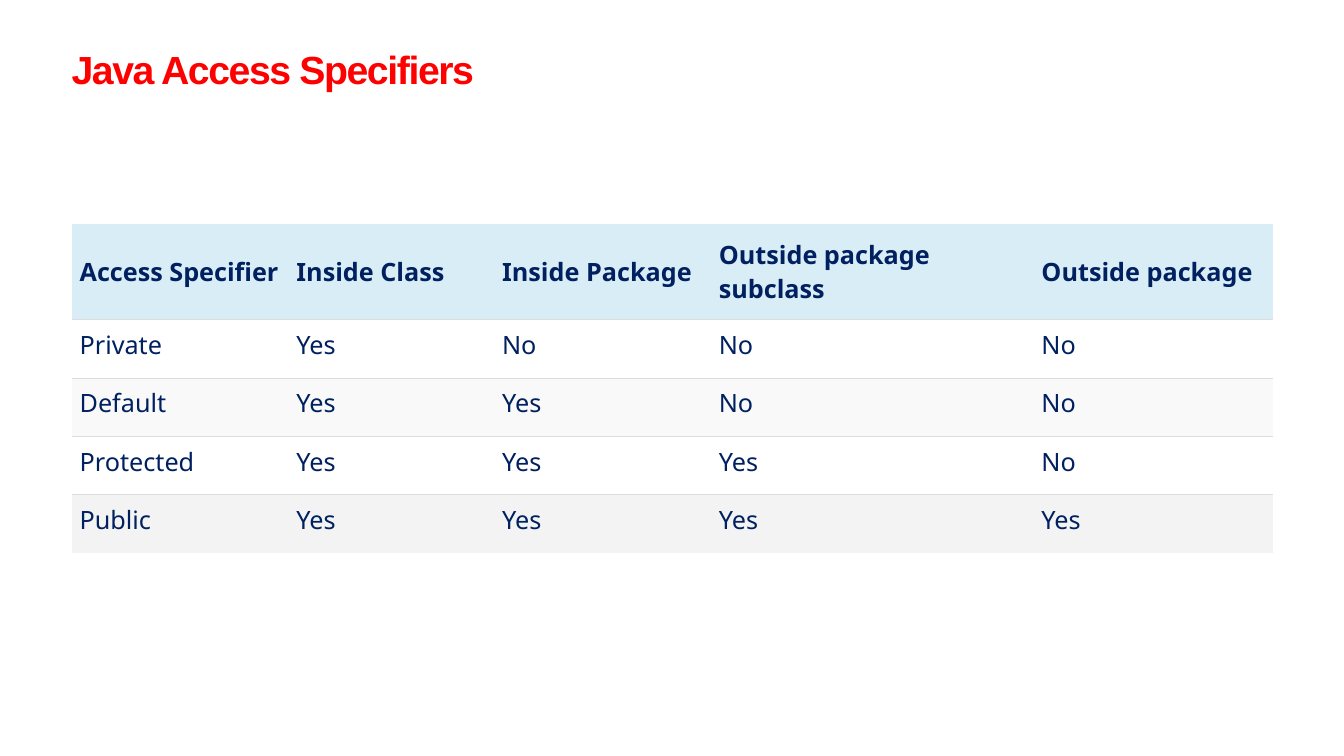
from dataclasses import dataclass

from lxml.etree import SubElement
from pptx import Presentation
from pptx.dml.color import RGBColor
from pptx.enum.text import MSO_ANCHOR as Anchor, MSO_AUTO_SIZE as AutoSize, PP_ALIGN as Align
from pptx.oxml.ns import qn
from pptx.util import Inches, Pt

TITLE = "Java Access Specifiers"
HEADER = ("Access Specifier", "Inside Class", "Inside Package",
          "Outside package subclass", "Outside package")
ACCESS = (
    ("Private", "Yes", "No", "No", "No"),
    ("Default", "Yes", "Yes", "No", "No"),
    ("Protected", "Yes", "Yes", "Yes", "No"),
    ("Public", "Yes", "Yes", "Yes", "Yes"),
)


@dataclass(frozen=True)
class Theme:
    title_font: str = "Arial"
    body_font: str = "Noto Sans"
    title_size: int = 28
    body_size: int = 18
    title: str = "FF0000"
    text: str = "002060"
    rule: str = "DDDDDD"
    rule_width: float = 0.75
    row_fills: tuple = ("D9EDF7", "FFFFFF", "F9F9F9", "FFFFFF", "F3F3F3")


THEME = Theme()
SLIDE_W, SLIDE_H = 13.33, 7.5
LEFT, TITLE_TOP, TABLE_TOP = 0.71, 0.45, 2.22
TITLE_W, TITLE_H = 5.96, 0.47
COLUMNS = (2.15, 2.04, 2.15, 3.2, 2.38)
HEADER_H, ROW_H = 0.95, 0.58
PADDING = 0.08


def set_margins(target, inches):
    for side in ("left", "top", "right", "bottom"):
        setattr(target, f"margin_{side}", Inches(inches))


def add_run(p, text, font, size, color, bold):
    r = p.add_run()
    r.text = text
    r.font.name, r.font.size, r.font.bold = font, Pt(size), bold
    r.font.color.rgb = RGBColor.from_string(color)
    return r


def set_borders(cell, ruled):
    """Rule the sides named in ruled and clear the others."""
    tc_pr = cell._tc.get_or_add_tcPr()
    for side in "LRTB":
        ln = SubElement(tc_pr, qn(f"a:ln{side}"))
        if side in ruled:
            ln.set("w", str(Pt(THEME.rule_width)))
            fill = SubElement(ln, qn("a:solidFill"))
            SubElement(fill, qn("a:srgbClr")).set("val", THEME.rule)
        else:
            ln.set("w", "0")
            SubElement(ln, qn("a:noFill"))


def add_title(slide):
    sp = slide.shapes.title
    sp.left, sp.top = Inches(LEFT), Inches(TITLE_TOP)
    sp.width, sp.height = Inches(TITLE_W), Inches(TITLE_H)
    tf = sp.text_frame
    set_margins(tf, 0)
    tf.word_wrap, tf.auto_size = True, AutoSize.SHAPE_TO_FIT_TEXT
    tf.vertical_anchor = Anchor.BOTTOM
    p = tf.paragraphs[0]
    p.alignment = Align.LEFT
    r = add_run(p, TITLE, THEME.title_font, THEME.title_size, THEME.title, True)
    r.font._element.set("spc", "-100")


def add_access_table(slide):
    rows = (HEADER, *ACCESS)
    heights = (HEADER_H, *[ROW_H] * len(ACCESS))
    table = slide.shapes.add_table(
        len(rows), len(COLUMNS), Inches(LEFT), Inches(TABLE_TOP),
        Inches(sum(COLUMNS)), Inches(sum(heights))).table
    for column, width in zip(table.columns, COLUMNS):
        column.width = Inches(width)
    for i, (texts, height, color) in enumerate(zip(rows, heights, THEME.row_fills)):
        table.rows[i].height = Inches(height)
        is_header = i == 0
        ruled = "B" if is_header else "T" if i == len(rows) - 1 else "TB"
        for j, text in enumerate(texts):
            cell = table.cell(i, j)
            set_margins(cell, PADDING)
            cell.vertical_anchor = Anchor.MIDDLE if is_header else Anchor.TOP
            set_borders(cell, ruled)
            cell.fill.solid()
            cell.fill.fore_color.rgb = RGBColor.from_string(color)
            add_run(cell.text_frame.paragraphs[0], text, THEME.body_font,
                    THEME.body_size, THEME.text, is_header)


def main():
    prs = Presentation()
    prs.slide_width, prs.slide_height = Inches(SLIDE_W), Inches(SLIDE_H)
    slide = prs.slides.add_slide(prs.slide_layouts[5])
    add_title(slide)
    add_access_table(slide)
    prs.save("out.pptx")


if __name__ == "__main__":
    main()
